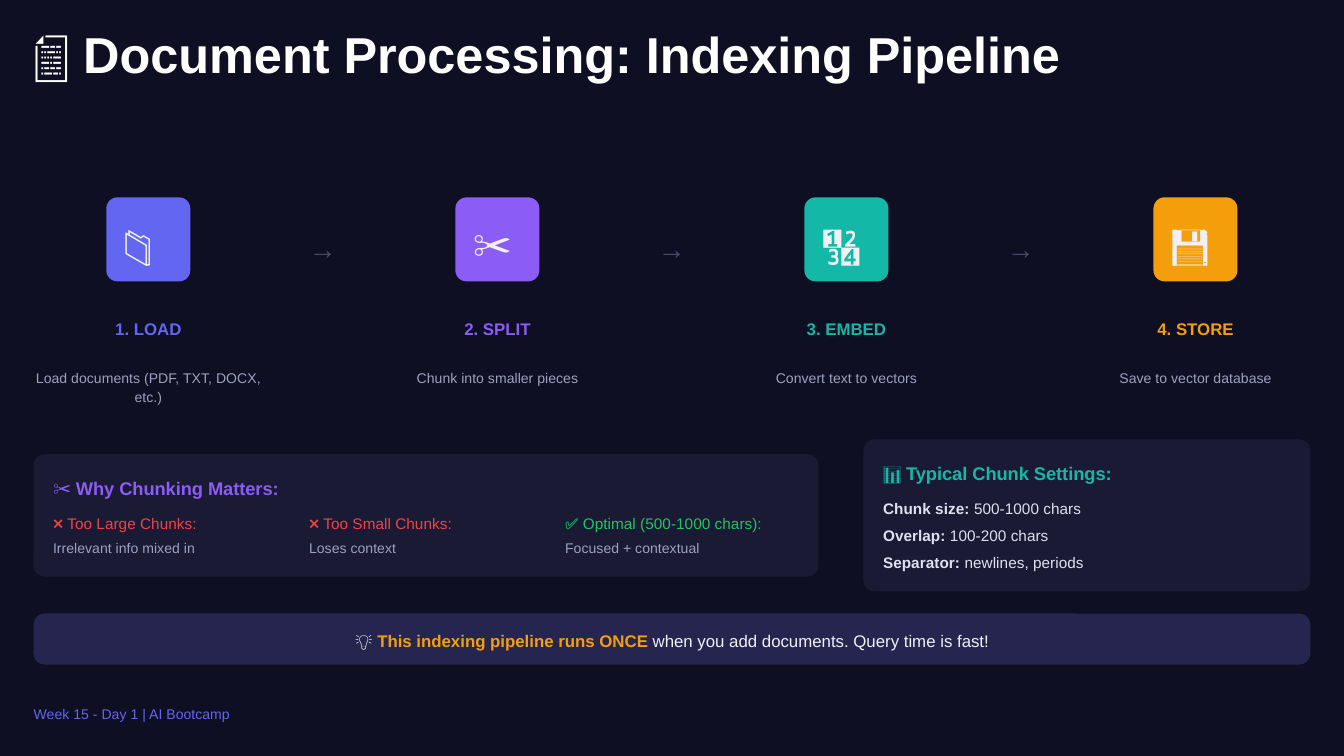
from pptx import Presentation
from pptx.dml.color import RGBColor
from pptx.enum.shapes import MSO_SHAPE
from pptx.enum.text import MSO_ANCHOR, MSO_AUTO_SIZE, PP_ALIGN
from pptx.util import Inches, Pt

ROUNDED = MSO_SHAPE.ROUNDED_RECTANGLE
LEFT, CENTER = PP_ALIGN.LEFT, PP_ALIGN.CENTER
TOP = MSO_ANCHOR.TOP
NO_FIT = MSO_AUTO_SIZE.NONE

WIDTH = Inches(10)
HEIGHT = WIDTH * 9 // 16
UNIT = WIDTH / 100  # all positions are in hundredths of the slide width
MARGIN = 2.5
RADIUS = 0.83
LEADING = 1.4
STEP_CENTER, STEP_PITCH, ICON = 11.04, 25.97, 6.25
CASE_PITCH = 19.05
FONT = "Arial"

COLORS = {
    "background": "0F0F23", "white": "FFFFFF", "light": "F0F0F5",
    "body": "E0E0F0", "muted": "A0A0C0", "arrow": "4A4A6A",
    "panel": "1A1A35", "banner": "252550", "indigo": "6366F1",
    "violet": "8B5CF6", "teal": "14B8A6", "amber": "F59E0B",
    "red": "EF4444", "green": "22C55E",
}

# icon, label, label width, caption, caption width, caption lines, colour
STEPS = [
    ("📁", "1. LOAD", 5, "Load documents (PDF, TXT, DOCX, etc.)", 17.4, 2, "indigo"),
    ("✂️", "2. SPLIT", 5, "Chunk into smaller pieces", 12.2, 1, "violet"),
    ("🔢", "3. EMBED", 6, "Convert text to vectors", 10.6, 1, "teal"),
    ("💾", "4. STORE", 5.8, "Save to vector database", 11.5, 1, "amber"),
]
CASES = [
    ("❌ Too Large Chunks:", "Irrelevant info mixed in", "red"),
    ("❌ Too Small Chunks:", "Loses context", "red"),
    ("✅ Optimal (500-1000 chars):", "Focused + contextual", "green"),
]
SETTINGS = [
    ("Chunk size:", " 500-1000 chars"),
    ("Overlap:", " 100-200 chars"),
    ("Separator:", " newlines, periods"),
]


def color(name):
    return RGBColor.from_string(COLORS[name])


def units(*values):
    return [round(v * UNIT) for v in values]


def write(tf, runs, size, align=LEFT, leading=LEADING, wrap=True):
    """Fill a frame with one paragraph of (text, colour, bold) runs."""
    tf.margin_left = tf.margin_right = tf.margin_top = tf.margin_bottom = 0
    tf.auto_size = NO_FIT
    tf.vertical_anchor = TOP
    tf.word_wrap = wrap
    p = tf.paragraphs[0]
    p.alignment = align
    p.line_spacing = Pt(size * leading)
    p.space_before = Pt(0)
    p.font.name, p.font.size = FONT, Pt(size)
    for text, tone, bold in runs:
        r = p.add_run()
        r.text = text
        r.font.bold = bold
        r.font.color.rgb = color(tone)


def add_text(s, left, top, width, height, runs, size, **options):
    box = s.shapes.add_textbox(*units(left, top, width, height))
    write(box.text_frame, runs, size, **options)


def add_card(s, left, top, width, height, fill):
    sp = s.shapes.add_shape(ROUNDED, *units(left, top, width, height))
    sp.adjustments[0] = RADIUS / min(width, height)
    sp.shadow.inherit = False
    sp.fill.solid()
    sp.fill.fore_color.rgb = color(fill)
    sp.line.fill.background()


def add_title(s):
    title = s.shapes.title
    title.left, title.top, title.width, title.height = units(MARGIN, 2.5, 80.1, 3.8)
    write(title.text_frame,
          [("📄 Document Processing: Indexing Pipeline", "white", True)], 27, leading=1)


def add_step(s, i, icon, label, label_width, caption, caption_width, lines, tone):
    center = STEP_CENTER + i * STEP_PITCH
    left = center - ICON / 2
    add_card(s, left, 14.69, ICON, ICON, tone)
    add_text(s, left + 1.3, 15.8, 3.7, 4.1, [(icon, "light", False)], 21)
    add_text(s, center - label_width / 2, 23.44, label_width, 1.7,
             [(label, tone, True)], 9, align=CENTER, wrap=False)
    add_text(s, center - caption_width / 2, 27.27, caption_width, 1.45 * lines,
             [(caption, "muted", False)], 7.5, align=CENTER, wrap=lines > 1)
    if i < len(STEPS) - 1:
        add_text(s, center + STEP_PITCH / 2 - 1.05, 16.8, 2.1, 2.9,
                 [("→", "arrow", False)], 15)


def add_chunking_panel(s):
    add_card(s, MARGIN, 33.8, 58.4, 9.1, "panel")
    add_text(s, 3.95, 35.24, 56.6, 1.9,
             [("✂️ Why Chunking Matters:", "violet", True)], 9.75)
    for i, (heading, effect, tone) in enumerate(CASES):
        left = 3.95 + i * CASE_PITCH
        add_text(s, left, 38, 17.7, 1.6, [(heading, tone, False)], 8.25)
        add_text(s, left, 39.95, 17.7, 1.5, [(effect, "muted", False)], 7.5)


def add_settings_panel(s):
    add_card(s, 64.25, 32.7, 33.25, 11.3, "panel")
    add_text(s, 65.7, 34.13, 30.9, 1.9,
             [("📊 Typical Chunk Settings:", "teal", True)], 9.75)
    for i, (name, value) in enumerate(SETTINGS):
        add_text(s, 65.7, 36.9 + 2.01 * i, 30.9, 1.6,
                 [(name, "body", True), (value, "body", False)], 8.25)


def add_banner(s):
    add_card(s, MARGIN, 45.65, 95, 3.8, "banner")
    add_text(s, 2.6, 46.7, 94.8, 1.7, [
        ("💡 ", "light", False),
        ("This indexing pipeline runs ONCE", "amber", True),
        (" when you add documents. Query time is fast!", "light", False),
    ], 9, align=CENTER)


def main():
    prs = Presentation()
    prs.slide_width, prs.slide_height = WIDTH, HEIGHT
    s = prs.slides.add_slide(prs.slide_layouts[5])
    s.background.fill.solid()
    s.background.fill.fore_color.rgb = color("background")
    add_title(s)
    for i, step in enumerate(STEPS):
        add_step(s, i, *step)
    add_chunking_panel(s)
    add_settings_panel(s)
    add_banner(s)
    add_text(s, MARGIN, 52.3, 14.8, 1.5,
             [("Week 15 - Day 1 | AI Bootcamp", "indigo", False)], 7.5)
    prs.save("out.pptx")


if __name__ == "__main__":
    main()
